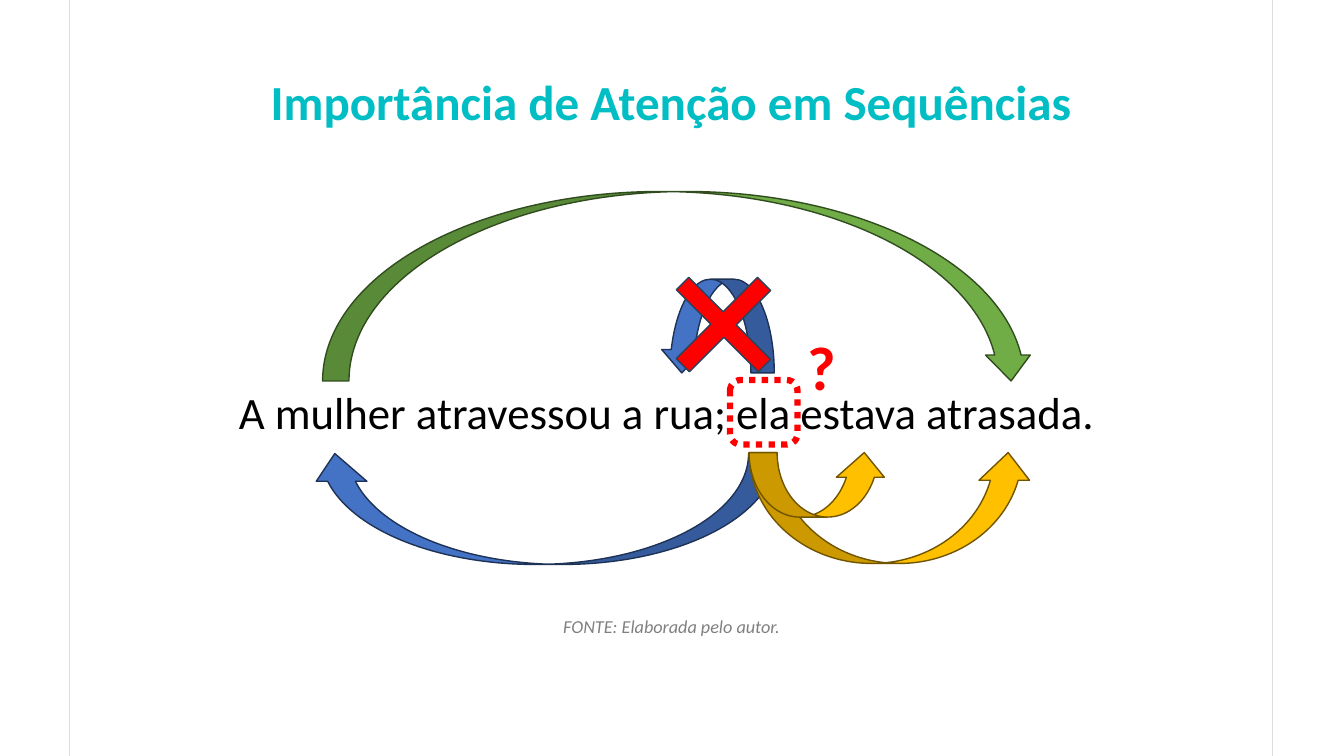
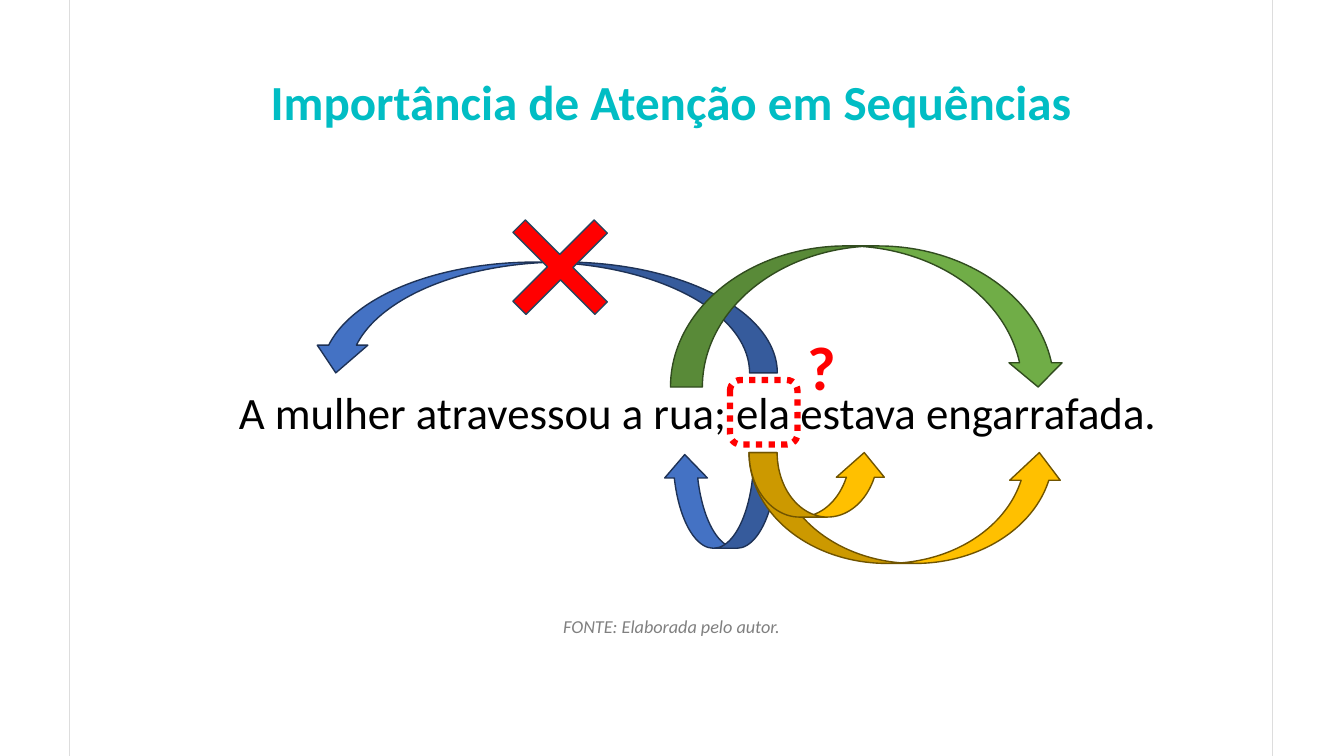
from pptx import Presentation
from pptx.dml.color import RGBColor
from pptx.enum.dml import MSO_LINE
from pptx.enum.shapes import MSO_CONNECTOR, MSO_SHAPE
from pptx.enum.text import PP_ALIGN
from pptx.oxml.ns import qn
from pptx.util import Inches, Pt
from lxml import etree

CURVED_ARROW = MSO_SHAPE.CURVED_UP_ARROW
ROUND_RECT = MSO_SHAPE.ROUNDED_RECTANGLE
PLUS = MSO_SHAPE.CROSS
STRAIGHT = MSO_CONNECTOR.STRAIGHT
DOTTED = MSO_LINE.ROUND_DOT
LEFT, CENTER = PP_ALIGN.LEFT, PP_ALIGN.CENTER

FONT = "Calibri"
TEAL = RGBColor(0x01, 0xBD, 0xC4)
GREY = RGBColor(0x80, 0x80, 0x80)
EDGE_GREY = RGBColor(0xDD, 0xDD, 0xDD)
BLACK = RGBColor(0x00, 0x00, 0x00)
RED = RGBColor(0xFF, 0x00, 0x00)
CROSS_EDGE = RGBColor(0x28, 0x44, 0x5D)

# Arrow colours: fill, outline
BLUE = RGBColor(0x44, 0x72, 0xC4), RGBColor(0x1E, 0x32, 0x56)
GOLD = RGBColor(0xFF, 0xC0, 0x00), RGBColor(0x70, 0x54, 0x00)
GREEN = RGBColor(0x70, 0xAD, 0x47), RGBColor(0x31, 0x4C, 0x1F)

SLIDE_W, SLIDE_H = 13.33, 7.5
PANEL_X, PANEL_W = 0.69, 11.93
TEXT_X, TEXT_W = 0.71, 11.9
PRONOUN_X = 7.43  # where the arrows leaving "ela" to the right begin
BASE_ADJ = (0.25, 0.456, 0.25)
SHORT_ADJ = (0.434, 0.744, 0.383)


def add_text(s, box, text, size, color, align=CENTER, wrap=True,
             bold=False, italic=False):
    tf = s.shapes.add_textbox(*map(Inches, box)).text_frame
    tf.word_wrap = wrap
    p = tf.paragraphs[0]
    p.text = text
    p.alignment = align
    font = p.font
    font.name, font.size, font.color.rgb = FONT, Pt(size), color
    font.bold, font.italic = bold, italic


def add_shape(s, kind, box, fill, line, width=1, adj=()):
    sp = s.shapes.add_shape(kind, *map(Inches, box))
    sp.shadow.inherit = False
    if fill is None:
        sp.fill.background()
    else:
        sp.fill.solid()
        sp.fill.fore_color.rgb = fill
    sp.line.color.rgb = line
    sp.line.width = Pt(width)
    for i, value in enumerate(adj):
        sp.adjustments[i] = value
    return sp


def add_arrow(s, box, colors, flip="", adj=BASE_ADJ):
    """Curved arrow; flip "h" points it left, "v" arches it upwards."""
    sp = add_shape(s, CURVED_ARROW, box, *colors, adj=adj)
    xfrm = sp._element.spPr.get_or_add_xfrm()
    xfrm.flipH = "h" in flip
    xfrm.flipV = "v" in flip


def add_cross(s, x, y):
    sp = add_shape(s, PLUS, (x, y, 1.15, 1.14), RED, CROSS_EDGE, adj=(0.424,))
    sp.rotation = 45


def add_panel_edge(s, x):
    line = s.shapes.add_connector(STRAIGHT, Inches(x), 0, Inches(x), Inches(SLIDE_H))
    line.line.color.rgb = EDGE_GREY
    line.line.width = Pt(0.5)
    etree.SubElement(line._element.spPr, qn("a:effectLst"))


def add_sentence_slide(prs, sentence, width, arrows, cross):
    s = prs.slides.add_slide(prs.slide_layouts[6])
    # Frame, title and source
    for x in (PANEL_X, PANEL_X + PANEL_W):
        add_panel_edge(s, x)
    add_text(s, (TEXT_X, 0.66, TEXT_W, 0.69),
             "Importância de Atenção em Sequências", 35, TEAL, bold=True)
    add_text(s, (TEXT_X, 6.05, TEXT_W, 0.32),
             "FONTE: Elaborada pelo autor.", 13, GREY, italic=True)
    # Sentence with the marked pronoun
    add_text(s, (2.27, 3.77, width, 0.64), sentence, 32, BLACK, LEFT, wrap=False)
    mark = add_shape(s, ROUND_RECT, (7.24, 3.77, 0.67, 0.64), None, RED, 4.5)
    mark.line.dash_style = DOTTED
    add_text(s, (7.91, 3.21, 0.49, 0.84), "?", 44, RED, wrap=False, bold=True)
    # Attention arrows, the short one to "estava" last
    for arrow in arrows:
        add_arrow(s, *arrow)
    add_arrow(s, (PRONOUN_X, 4.49, 1.38, 0.64), GOLD, adj=SHORT_ADJ)
    add_cross(s, *cross)


def main():
    prs = Presentation()
    prs.slide_width, prs.slide_height = Inches(SLIDE_W), Inches(SLIDE_H)

    # "ela" refers to the woman
    add_sentence_slide(
        prs, "A mulher atravessou a rua; ela estava atrasada.", 8.78,
        [((3.07, 4.5, 4.63, 1.1), BLUE, "h"),
         ((6.55, 2.77, 1.13, 0.93), BLUE, "hv"),
         ((PRONOUN_X, 4.49, 2.82, 1.1), GOLD),
         ((3.2, 1.9, 7.05, 1.88), GREEN, "v", (0.139, 0.236, 0.137))],
        cross=(6.6, 2.65))

    # "ela" refers to the street
    add_sentence_slide(
        prs, "A mulher atravessou a rua; ela estava engarrafada.", 9.4,
        [((3.08, 2.6, 4.63, 1.1), BLUE, "hv"),
         ((6.58, 4.51, 1.13, 0.93), BLUE, "h"),
         ((PRONOUN_X, 4.49, 3.13, 1.1), GOLD),
         ((6.65, 2.44, 3.91, 1.4), GREEN, "v", (0.226, 0.376, 0.172))],
        cross=(4.98, 2.08))

    prs.save("out.pptx")


if __name__ == "__main__":
    main()
